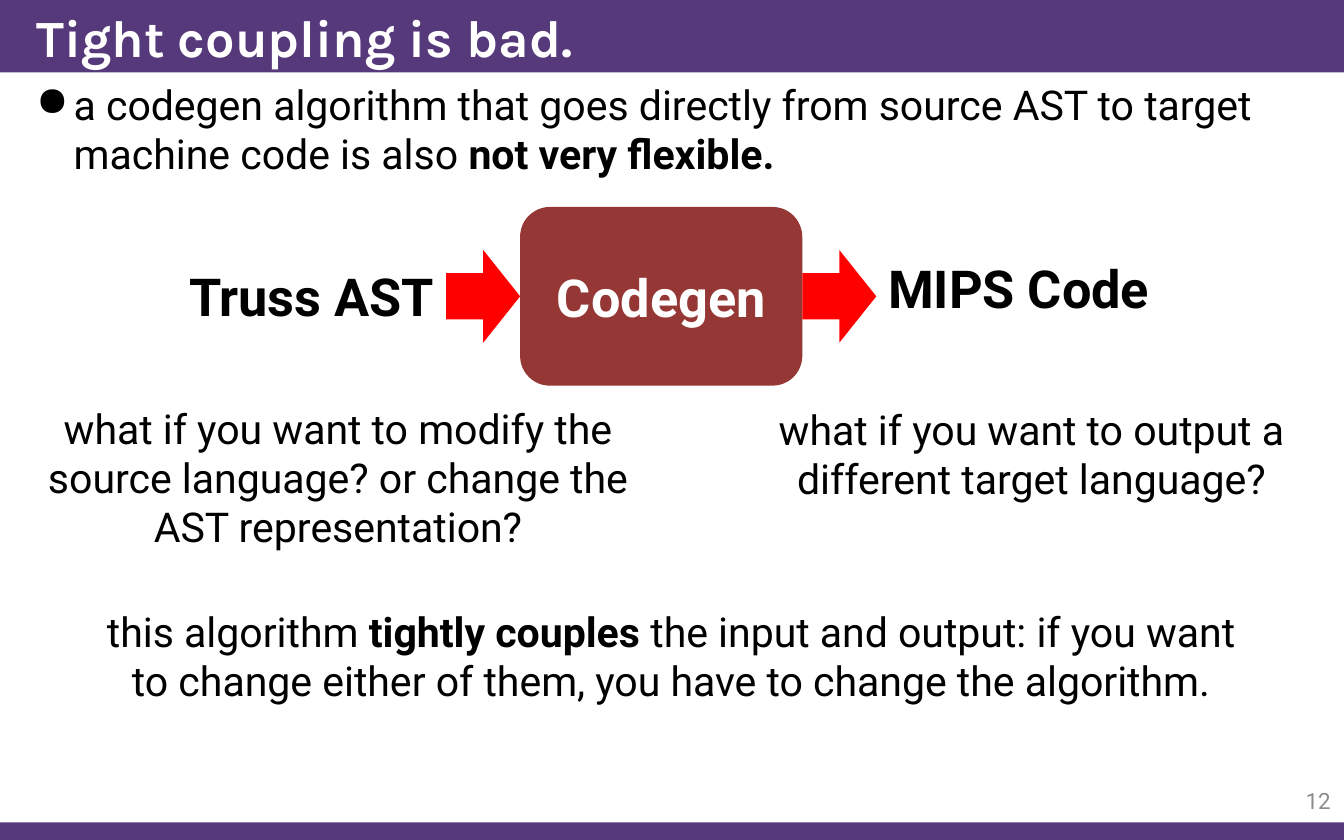
"""Build the slide on tight coupling in a code generator."""
from lxml.etree import SubElement
from pptx import Presentation
from pptx.dml.color import RGBColor
from pptx.enum.shapes import MSO_SHAPE as Shape
from pptx.enum.text import MSO_ANCHOR as Anchor, MSO_AUTO_SIZE as Fit, PP_ALIGN as Align
from pptx.oxml.ns import qn
from pptx.util import Inches, Pt

COLORS = {"purple": "56397B", "maroon": "953735", "red": "FF0000",
          "white": "FFFFFF", "black": "000000", "gray": "8C8C8C"}
WIDTH, HEIGHT = 10, 6.25
HEADER, FOOTER, MARGIN = 0.54, 0.13, 0.17
BULLET_INDENT = 0.28
LARGE, MEDIUM, SMALL = 28, 22, 12

TITLE = [("Tight coupling is bad.", True)]
POINT = [("a codegen algorithm that goes directly from source AST to target machine code is also ", False),
         ("not very flexible.", True)]
STAGE = [("Codegen", True)]
STAGE_AT = (3.87, 1.54, 2.1, 1.33)
ARROW_SIZE = (0.55, 0.69)
NOTE_WIDTH = 4.65
LABELS = [
    ([("Truss AST", True)], (1.17, 1.92, 2.16, 0.57), Align.RIGHT),
    ([("MIPS Code", True)], (6.51, 1.86, 2.32, 0.57), Align.LEFT),
]
NOTES = [
    ([("what if you want to modify the source language? or change the AST representation?", False)],
     (0.19, 2.95, NOTE_WIDTH, 1.21)),
    ([("what if you want to output a different target language?", False)],
     (WIDTH - NOTE_WIDTH, 2.96, NOTE_WIDTH, 0.84)),
    ([("this algorithm ", False), ("tightly couples ", True),
      ("the input and output: if you want to change either of them, you have to change the algorithm.", False)],
     (0.58, 4.46, 8.83, 0.84)),
]
NUMBER = [("12", False)]


def color(name):
    return RGBColor.from_string(COLORS[name])


def write(shape, spans, size, ink="black", align=Align.LEFT, anchor=Anchor.TOP, font="Roboto"):
    frame = shape.text_frame
    frame.word_wrap = True
    frame.auto_size = Fit.NONE
    frame.vertical_anchor = anchor
    para = frame.paragraphs[0]
    para.alignment = align
    for text, bold in spans:
        span = para.add_run()
        span.text = text
        span.font.name, span.font.size, span.font.bold = font, Pt(size), bold
        span.font.color.rgb = color(ink)
    return para


def add_text(page, spans, place, size, **style):
    box = page.shapes.add_textbox(*map(Inches, place))
    return write(box, spans, size, **style)


def add_block(page, kind, place, fill):
    block = page.shapes.add_shape(kind, *map(Inches, place))
    block.shadow.inherit = False
    block.fill.solid()
    block.fill.fore_color.rgb = color(fill)
    block.line.fill.background()
    return block


def add_header(page):
    add_block(page, Shape.RECTANGLE, (0, HEIGHT - FOOTER, WIDTH, FOOTER), "purple")
    add_block(page, Shape.RECTANGLE, (0, 0, WIDTH, HEADER), "purple")
    title = page.shapes.title
    title.left, title.top, title.width, title.height = map(Inches, (MARGIN, 0, WIDTH - MARGIN, HEADER))
    write(title, TITLE, LARGE, ink="white", anchor=Anchor.MIDDLE, font="Karla")
    title.element.getparent().append(title.element)


def add_point(page):
    para = add_text(page, POINT, (MARGIN, HEADER, WIDTH - MARGIN, 1), MEDIUM)
    props = para._p.get_or_add_pPr()
    props.set("marL", str(Inches(BULLET_INDENT)))
    props.set("indent", str(-Inches(BULLET_INDENT)))
    SubElement(props, qn("a:buChar"), char="●")


def add_pipeline(page):
    left, top, width, height = STAGE_AT
    arrow_width, arrow_height = ARROW_SIZE
    stage = add_block(page, Shape.ROUNDED_RECTANGLE, STAGE_AT, "maroon")
    write(stage, STAGE, LARGE, ink="white", align=Align.CENTER, anchor=Anchor.MIDDLE)
    for arrow_left in (left - arrow_width, left + width):
        arrow_top = top + (height - arrow_height) / 2
        add_block(page, Shape.RIGHT_ARROW, (arrow_left, arrow_top, *ARROW_SIZE), "red")
    for spans, place, align in LABELS:
        add_text(page, spans, place, LARGE, align=align)


def main():
    deck = Presentation()
    deck.slide_width, deck.slide_height = Inches(WIDTH), Inches(HEIGHT)
    page = deck.slides.add_slide(deck.slide_layouts[5])
    add_header(page)
    add_point(page)
    add_text(page, NUMBER, (9.25, 5.79, 0.75, 0.33), SMALL,
             ink="gray", align=Align.RIGHT, anchor=Anchor.MIDDLE)
    add_pipeline(page)
    for spans, place in NOTES:
        add_text(page, spans, place, MEDIUM, align=Align.CENTER)
    deck.save("out.pptx")


if __name__ == "__main__":
    main()
